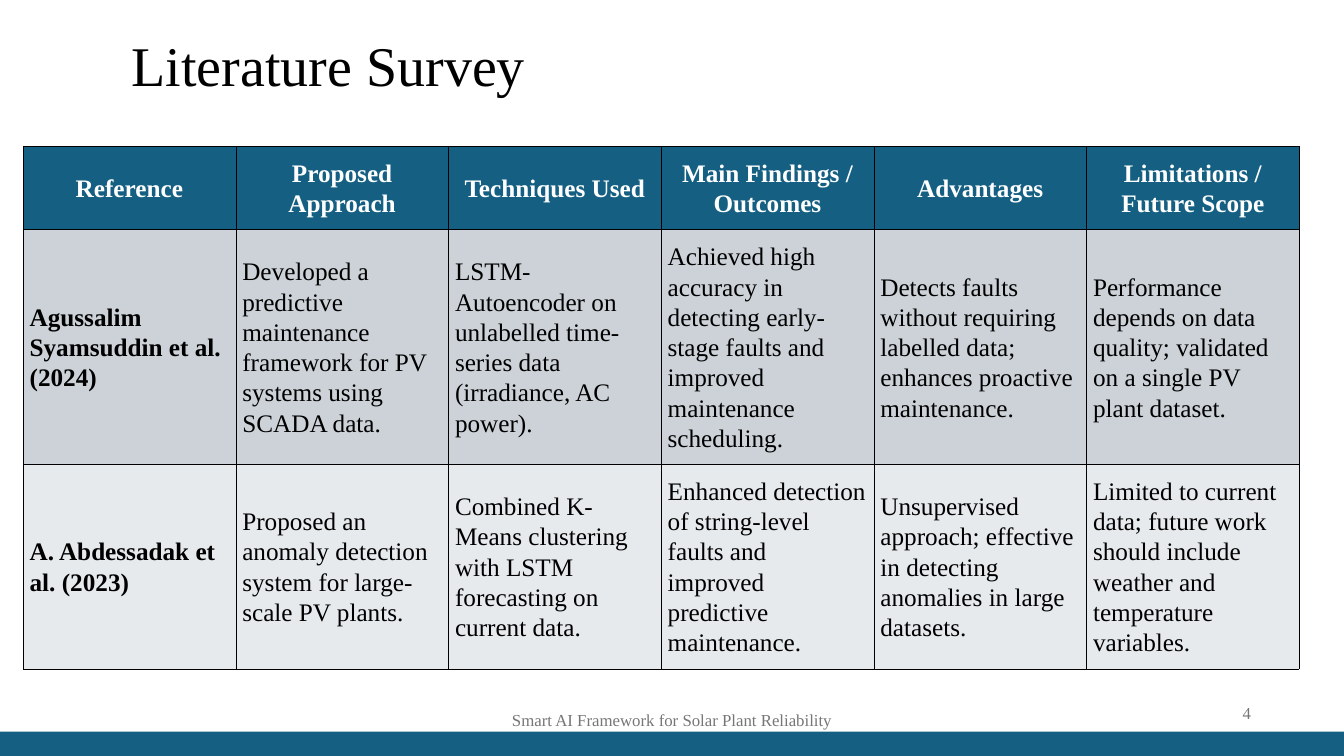
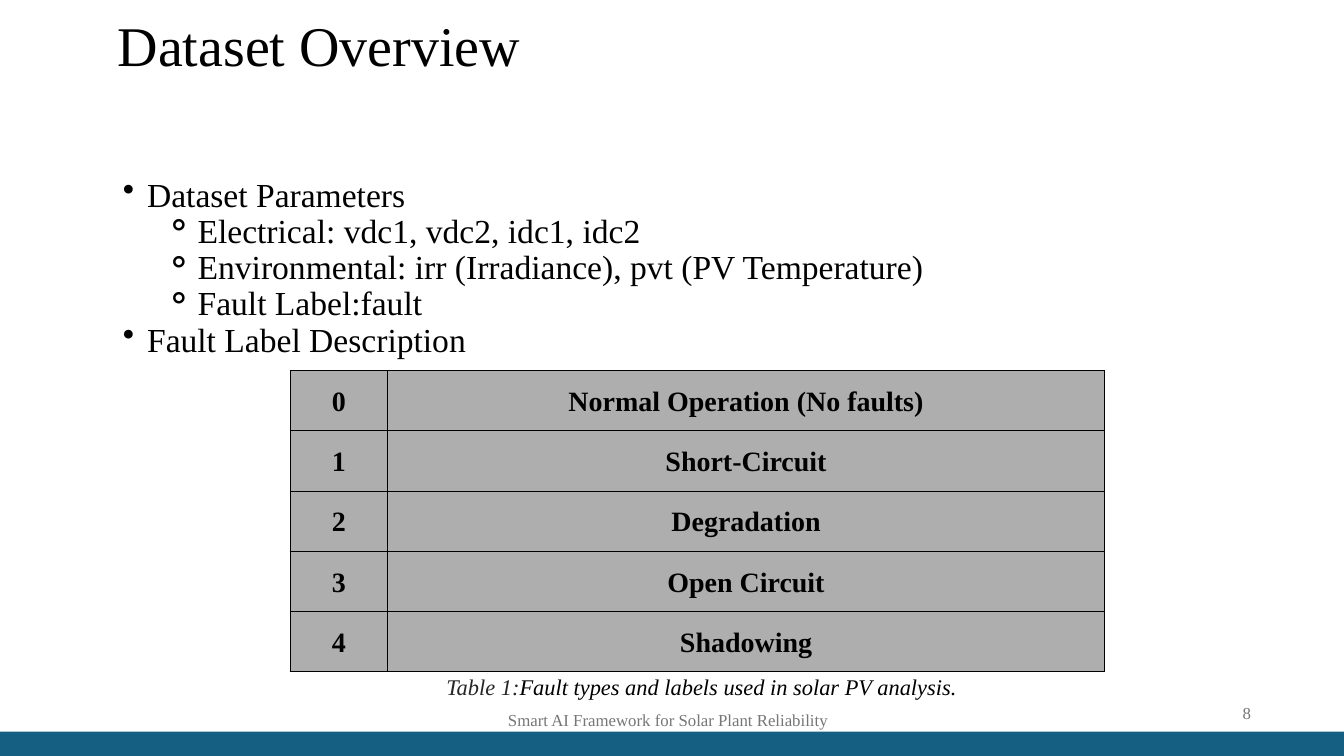
import pptx
import pptx.util
import pptx.dml.color
import pptx.enum.shapes
import pptx.enum.text
import pptx.oxml.ns
from lxml import etree

Cm, Pt = pptx.util.Cm, pptx.util.Pt
RGBColor = pptx.dml.color.RGBColor
ALIGN = pptx.enum.text.PP_ALIGN
ANCHOR = pptx.enum.text.MSO_ANCHOR

TEAL = RGBColor(0x15, 0x60, 0x82)
MIST = RGBColor(0xCC, 0xD2, 0xD8)
PALE = RGBColor(0xE7, 0xEA, 0xED)
SILVER = RGBColor(0xAE, 0xAE, 0xAE)
GREY = RGBColor(0x76, 0x76, 0x76)
COAL = RGBColor(0x26, 0x26, 0x26)
BLACK = RGBColor(0, 0, 0)
WHITE = RGBColor(0xFF, 0xFF, 0xFF)

WIDTH, HEIGHT = 50.8, 28.58
BAND_TOP = 27.66
FONT = "Times New Roman"
FOOTER = "Smart AI Framework for Solar Plant Reliability"

TITLE = {"size": Pt(60)}
BODY = {"size": Pt(36)}
SMALL = {"size": Pt(18)}
NOTE = {"size": Pt(24), "italic": True}
CELL = {"size": Pt(27), "bold": False}
STRONG = {"size": Pt(27), "bold": True}
LABEL = {"size": Pt(30), "bold": True}

STUDIES = [
    ["Reference", "Proposed Approach", "Techniques Used",
     "Main Findings / Outcomes", "Advantages", "Limitations / Future Scope"],
    ["Agussalim Syamsuddin et al. (2024)",
     "Developed a predictive maintenance framework for PV systems using SCADA data.",
     "LSTM-Autoencoder on unlabelled time-series data (irradiance, AC power).",
     "Achieved high accuracy in detecting early-stage faults and improved maintenance scheduling.",
     "Detects faults without requiring labelled data; enhances proactive maintenance.",
     "Performance depends on data quality; validated on a single PV plant dataset."],
    ["A. Abdessadak et al. (2023)",
     "Proposed an anomaly detection system for large-scale PV plants.",
     "Combined K-Means clustering with LSTM forecasting on current data.",
     "Enhanced detection of string-level faults and improved predictive maintenance.",
     "Unsupervised approach; effective in detecting anomalies in large datasets.",
     "Limited to current data; future work should include weather and temperature variables."],
]
FAULTS = ["Normal Operation (No faults)", "Short-Circuit", "Degradation",
          "Open Circuit", "Shadowing"]
POINTS = [
    (0, "Dataset Parameters"),
    (1, "Electrical: vdc1, vdc2, idc1, idc2"),
    (1, "Environmental: irr (Irradiance), pvt (PV Temperature)"),
    (1, "Fault Label:fault"),
    (0, "Fault Label Description"),
]
# Bullet sign, left margin and hanging indent for each level
BULLETS = [("•", 1.8, -0.91), ("⚬", 3.71, -1.24)]


def write(para, text, style, color=BLACK, align=ALIGN.LEFT, lead=1.2):
    """Add a run; the line pitch is lead times the font size."""
    para.alignment = align
    para.line_spacing = Pt(round(style["size"].pt * lead, 1))
    run = para.add_run()
    run.text = text
    run.font.name = FONT
    run.font.color.rgb = color
    for name, value in style.items():
        setattr(run.font, name, value)


def setup(frame, anchor):
    frame.word_wrap = True
    frame.auto_size = pptx.enum.text.MSO_AUTO_SIZE.NONE
    frame.vertical_anchor = anchor
    for side in ("left", "top", "right", "bottom"):
        setattr(frame, "margin_" + side, 0)
    return frame


def add_box(slide, place, anchor=ANCHOR.TOP):
    box = slide.shapes.add_textbox(*map(Cm, place))
    return setup(box.text_frame, anchor)


def add_page(deck, title, place, foot, number):
    """Add a slide with its band, title, footer and page number."""
    slide = deck.slides.add_slide(deck.slide_layouts[5])
    band = slide.shapes.add_shape(
        pptx.enum.shapes.MSO_SHAPE.RECTANGLE,
        0, Cm(BAND_TOP), Cm(WIDTH), Cm(HEIGHT - BAND_TOP))
    band.shadow.inherit = False
    band.fill.solid()
    band.fill.fore_color.rgb = TEAL
    band.line.fill.background()

    head = slide.shapes.title
    for name, value in zip(("left", "top", "width", "height"), place):
        setattr(head, name, Cm(value))
    frame = setup(head.text_frame, ANCHOR.MIDDLE)
    write(frame.paragraphs[0], title, TITLE, lead=1.08)

    left, width = foot
    frame = add_box(slide, (left, 26.44, width, 1.55), ANCHOR.MIDDLE)
    write(frame.paragraphs[0], FOOTER, SMALL, GREY, ALIGN.CENTER)
    frame = add_box(slide, (35.86, 26.56, 11.43, 1.3))
    write(frame.paragraphs[0], str(number), SMALL, GREY, ALIGN.RIGHT)
    return slide


def add_edges(cell, width):
    props = cell._tc.get_or_add_tcPr()
    qn = pptx.oxml.ns.qn
    for side in ("lnL", "lnR", "lnT", "lnB"):
        line = etree.SubElement(props, qn("a:" + side), w=str(Pt(width)))
        fill = etree.SubElement(line, qn("a:solidFill"))
        etree.SubElement(fill, qn("a:srgbClr"), val=str(BLACK))


def add_grid(slide, spot, cols, rows, edge, pad):
    """Add a plain table with black edges and equal cell margins."""
    grid = slide.shapes.add_table(
        len(rows), len(cols), *map(Cm, (*spot, sum(cols), sum(rows)))).table
    grid.first_row = grid.horz_banding = False
    for col, width in zip(grid.columns, cols):
        col.width = Cm(width)
    for row, height in zip(grid.rows, rows):
        row.height = Cm(height)
    for cell in grid.iter_cells():
        add_edges(cell, edge)
        cell.vertical_anchor = ANCHOR.MIDDLE
        for side in ("left", "top", "right", "bottom"):
            setattr(cell, "margin_" + side, Cm(pad))
    return grid


def fill_cell(cell, text, back, style, color=BLACK, align=ALIGN.CENTER):
    cell.fill.solid()
    cell.fill.fore_color.rgb = back
    write(cell.text_frame.paragraphs[0], text, style, color, align)


def add_list(slide, place, points):
    frame = add_box(slide, place)
    for i, (level, text) in enumerate(points):
        para = frame.add_paragraph() if i else frame.paragraphs[0]
        sign, left, hang = BULLETS[level]
        para.level = level
        props = para._p.get_or_add_pPr()
        props.set("marL", str(Cm(left)))
        props.set("indent", str(Cm(hang)))
        etree.SubElement(props, pptx.oxml.ns.qn("a:buChar"), char=sign)
        write(para, text, BODY, align=ALIGN.JUSTIFY, lead=1.08)


def add_survey(deck):
    slide = add_page(deck, "Literature Survey", (4.98, -0.13, 43.82, 5.36),
                     (3.1, 44.6), 4)
    grid = add_grid(slide, (0.87, 5.51), [8.04] * 6, [3.17, 8.87, 7.73],
                    0.37, 0.25)
    for r, (texts, back) in enumerate(zip(STUDIES, (TEAL, MIST, PALE))):
        for c, text in enumerate(texts):
            style = STRONG if r == 0 or c == 0 else CELL
            color, align = (BLACK, ALIGN.LEFT) if r else (WHITE, ALIGN.CENTER)
            fill_cell(grid.cell(r, c), text, back, style, color, align)


def add_dataset(deck):
    slide = add_page(deck, "Dataset Overview", (4.45, -0.91, 43.82, 5.44),
                     (3.51, 43.48), 8)
    add_list(slide, (3.76, 6.71, 43.31, 8.2), POINTS)
    grid = add_grid(slide, (10.97, 14), [3.68, 27.1], [2.28] * len(FAULTS),
                    0.75, 0.28)
    for r, fault in enumerate(FAULTS):
        for c, text in enumerate((str(r), fault)):
            fill_cell(grid.cell(r, c), text, SILVER, LABEL)
    note = add_box(slide, (16.87, 25.45, 24.89, 1.04)).paragraphs[0]
    write(note, "Table 1:", NOTE, COAL)
    write(note, "Fault types and labels used in solar PV analysis.", NOTE)


def main():
    deck = pptx.Presentation()
    deck.slide_width, deck.slide_height = Cm(WIDTH), Cm(HEIGHT)
    add_survey(deck)
    add_dataset(deck)
    deck.save("out.pptx")


if __name__ == "__main__":
    main()
